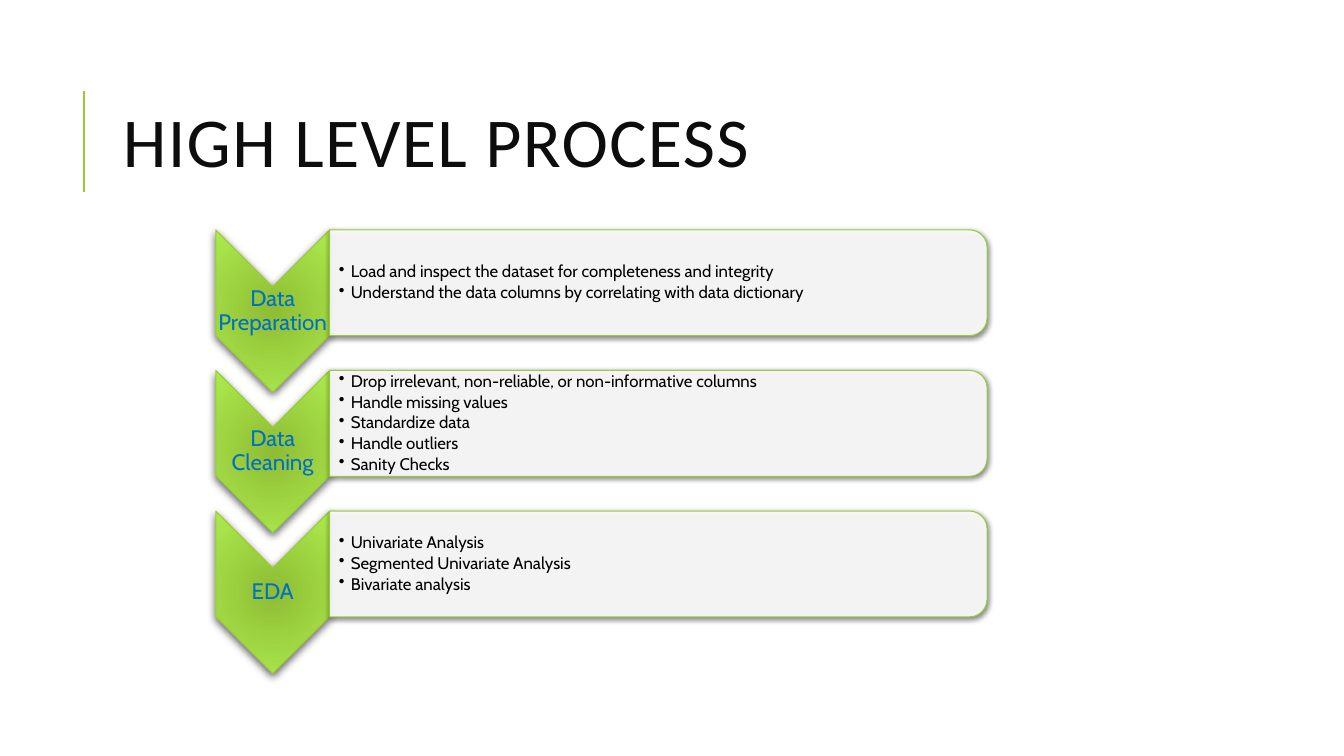
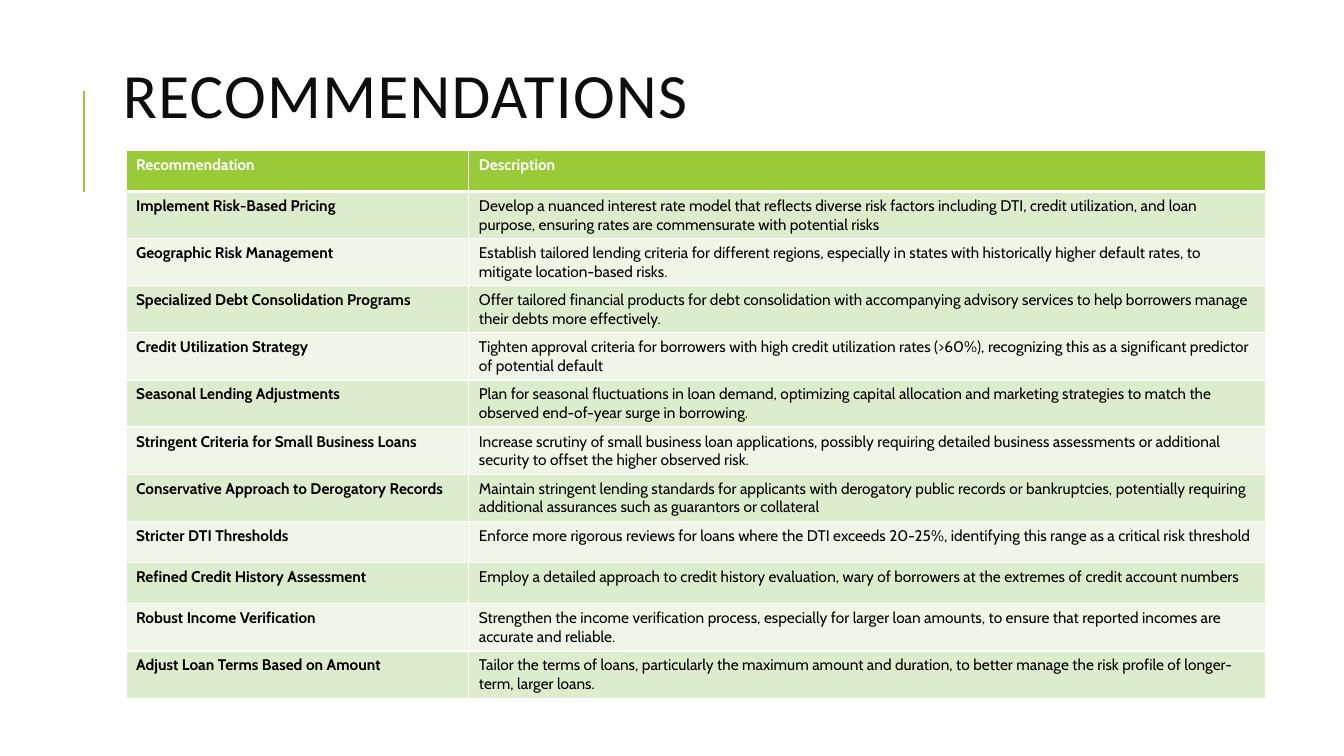
from lxml.etree import SubElement as Sub
from pptx import Presentation
from pptx.dml.color import RGBColor as Rgb
from pptx.enum.shapes import MSO_CONNECTOR as Link, MSO_SHAPE as Kind
from pptx.enum.text import MSO_ANCHOR as Anchor, PP_ALIGN as Align
from pptx.oxml import parse_xml
from pptx.oxml.ns import nsdecls, qn
from pptx.util import Inches, Pt

HUES = {
    "green": "99CB38", "core": "8FBD34", "rim": "ACEB4E", "white": "FFFFFF",
    "title": "0D0D0D", "black": "000000", "blue": "0070C0",
    "odd": "DEECCE", "even": "EFF6E8",
}
HEAD, BODY = "Calibri", "Cabin"

STEPS = [
    ("Data Preparation", [
        "Load and inspect the dataset for completeness and integrity",
        "Understand the data columns by correlating with data dictionary"]),
    ("Data Cleaning", [
        "Drop irrelevant, non-reliable, or non-informative columns",
        "Handle missing values", "Standardize data", "Handle outliers",
        "Sanity Checks"]),
    ("EDA", [
        "Univariate Analysis", "Segmented Univariate Analysis",
        "Bivariate analysis"]),
]

ADVICE = [
    ("Recommendation", "Description"),
    ("Implement Risk-Based Pricing",
     "Develop a nuanced interest rate model that reflects diverse risk factors including DTI, "
     "credit utilization, and loan purpose, ensuring rates are commensurate with potential risks"),
    ("Geographic Risk Management",
     "Establish tailored lending criteria for different regions, especially in states with "
     "historically higher default rates, to mitigate location-based risks."),
    ("Specialized Debt Consolidation Programs",
     "Offer tailored financial products for debt consolidation with accompanying advisory "
     "services to help borrowers manage their debts more effectively."),
    ("Credit Utilization Strategy",
     "Tighten approval criteria for borrowers with high credit utilization rates (>60%), "
     "recognizing this as a significant predictor of potential default"),
    ("Seasonal Lending Adjustments",
     "Plan for seasonal fluctuations in loan demand, optimizing capital allocation and "
     "marketing strategies to match the observed end-of-year surge in borrowing."),
    ("Stringent Criteria for Small Business Loans",
     "Increase scrutiny of small business loan applications, possibly requiring detailed "
     "business assessments or additional security to offset the higher observed risk."),
    ("Conservative Approach to Derogatory Records",
     "Maintain stringent lending standards for applicants with derogatory public records or "
     "bankruptcies, potentially requiring additional assurances such as guarantors or collateral"),
    ("Stricter DTI Thresholds",
     "Enforce more rigorous reviews for loans where the DTI exceeds 20-25%, identifying this "
     "range as a critical risk threshold"),
    ("Refined Credit History Assessment",
     "Employ a detailed approach to credit history evaluation, wary of borrowers at the "
     "extremes of credit account numbers"),
    ("Robust Income Verification",
     "Strengthen the income verification process, especially for larger loan amounts, to "
     "ensure that reported incomes are accurate and reliable."),
    ("Adjust Loan Terms Based on Amount",
     "Tailor the terms of loans, particularly the maximum amount and duration, to better "
     "manage the risk profile of longer-term, larger loans."),
]


def rgb(name):
    return Rgb.from_string(HUES[name])


class Deck:
    def __init__(self):
        self.prs = Presentation()
        self.prs.slide_width, self.prs.slide_height = Inches(13.33), Inches(7.5)
        self.slide = None

    # Slide with accent line and title
    def page(self, title, size, height):
        self.slide = self.prs.slides.add_slide(self.prs.slide_layouts[6])
        x = Inches(0.83)
        line = self.slide.shapes.add_connector(Link.STRAIGHT, x, Inches(1.9), x, Inches(0.9))
        line.line.color.rgb, line.line.width = rgb("green"), Pt(1.5)
        Sub(line._element.spPr, qn("a:effectLst"))
        frame = self.text(1.12, 0.64, 10.63, height, title)
        para = frame.paragraphs[0]
        para.line_spacing = 0.8
        self.font(para, size, "title", HEAD)
        para.runs[0]._r.get_or_add_rPr().set("spc", "100")

    def font(self, para, size, hue, face=BODY, bold=False):
        for run in para.runs:
            font = run.font
            font.size, font.name, font.bold = Pt(size), face, bold
            font.color.rgb = rgb(hue)

    def text(self, x, y, w, h, words, inset=None):
        box = self.slide.shapes.add_textbox(Inches(x), Inches(y), Inches(w), Inches(h))
        frame = box.text_frame
        frame.word_wrap, frame.vertical_anchor = True, Anchor.MIDDLE
        if inset is not None:
            frame.margin_left = Inches(inset)
            frame.margin_right = frame.margin_top = frame.margin_bottom = Inches(0.01)
        frame.text = words
        return frame

    # Shape turned a quarter; x, y, w, h is the box it covers on the slide
    def turned(self, kind, x, y, w, h, glow):
        left, top = x + (w - h) / 2, y + (h - w) / 2
        shape = self.slide.shapes.add_shape(
            kind, Inches(left), Inches(top), Inches(h), Inches(w))
        shape.rotation = 90
        shape.line.color.rgb, shape.line.width = rgb("green"), Pt(0.75)
        shape.shadow.inherit = False
        alpha, blur, dist = glow
        shade = Sub(shape._element.spPr.find(qn("a:effectLst")), qn("a:outerShdw"),
                    blurRad=str(Pt(blur)), dist=str(Pt(dist)), dir="5400000",
                    algn="ctr", rotWithShape="0")
        tint = Sub(shade, qn("a:srgbClr"), val=HUES["black"])
        Sub(tint, qn("a:alpha"), val=str(alpha * 1000))
        return shape

    def arrow(self, x, y, w, h, words):
        shape = self.turned(Kind.CHEVRON, x, y, w, h, (60, 6, 2))
        stops = "".join(
            f'<a:gs pos="{pos}"><a:srgbClr val="{HUES[hue]}"/></a:gs>'
            for pos, hue in ((0, "core"), (100000, "rim")))
        grad = parse_xml(
            f'<a:gradFill {nsdecls("a")} rotWithShape="1"><a:gsLst>{stops}</a:gsLst>'
            '<a:path path="circle"><a:fillToRect l="100000" t="100000" r="100000" b="100000"/>'
            '</a:path></a:gradFill>')
        shape._element.spPr.find(qn("a:prstGeom")).addnext(grad)
        para = self.text(x, y + w / 2, w, h - w, words, 0.01).paragraphs[0]
        para.alignment, para.line_spacing = Align.CENTER, 0.9
        self.font(para, 16, "blue")

    def panel(self, x, y, w, h, items):
        shape = self.turned(Kind.ROUND_2_SAME_RECTANGLE, x, y, w, h, (50, 4, 1))
        shape.fill.solid()
        shape.fill.fore_color.rgb = rgb("white")
        tint = shape._element.spPr.find(qn("a:solidFill"))[0]
        Sub(tint, qn("a:alpha"), val="90000")
        frame = self.text(x, y + 0.05, w - 0.05, h - 0.1, "\n".join(items), 0.09)
        for para in frame.paragraphs:
            para.line_spacing, para.space_after = 0.9, Pt(1.8)
            props = para._p.get_or_add_pPr()
            props.set("marL", str(Inches(0.12)))
            props.set("indent", str(Inches(-0.12)))
            Sub(props, qn("a:buChar"), char="•")
            self.font(para, 12, "black")

    # Table with a header row, banded rows and white rules
    def table(self, x, y, cols, high, rows):
        grid = self.slide.shapes.add_table(
            len(rows), len(cols), Inches(x), Inches(y),
            Inches(sum(cols)), Inches(high * len(rows))).table
        for col, wide in zip(grid.columns, cols):
            col.width = Inches(wide)
        for r, row in enumerate(rows):
            grid.rows[r].height = Inches(high)
            band = "green" if r == 0 else "odd" if r % 2 else "even"
            for c, words in enumerate(row):
                cell = grid.cell(r, c)
                self.rules(cell, 3 if r == 1 else 1, 3 if r == 0 else 1)
                cell.fill.solid()
                cell.fill.fore_color.rgb = rgb(band)
                cell.text_frame.text = words
                self.font(cell.text_frame.paragraphs[0], 11,
                          "black" if r else "white", bold=r == 0 or c == 0)

    def rules(self, cell, top, base):
        props = cell._tc.get_or_add_tcPr()
        for side, wide in (("L", 1), ("R", 1), ("T", top), ("B", base)):
            edge = Sub(props, qn(f"a:ln{side}"), w=str(Pt(wide)))
            Sub(Sub(edge, qn("a:solidFill")), qn("a:srgbClr"), val=HUES["white"])


def main():
    deck = Deck()

    # Process steps
    deck.page("HIGH LEVEL PROCESS", 50, 1.64)
    left, top, wide, pitch = 2.14, 2.28, 1.13, 2.79 / 2
    for i, (name, items) in enumerate(STEPS):
        y = top + i * pitch
        deck.arrow(left, y, wide, 1.61, name)
        deck.panel(left + wide, y, 6.52, 1.05, items)

    # Recommendations
    deck.page("RECOMMENDATIONS", 45, 0.71)
    deck.table(1.25, 1.49, (3.4, 7.9), 0.41, ADVICE)

    deck.prs.save("out.pptx")


if __name__ == "__main__":
    main()
